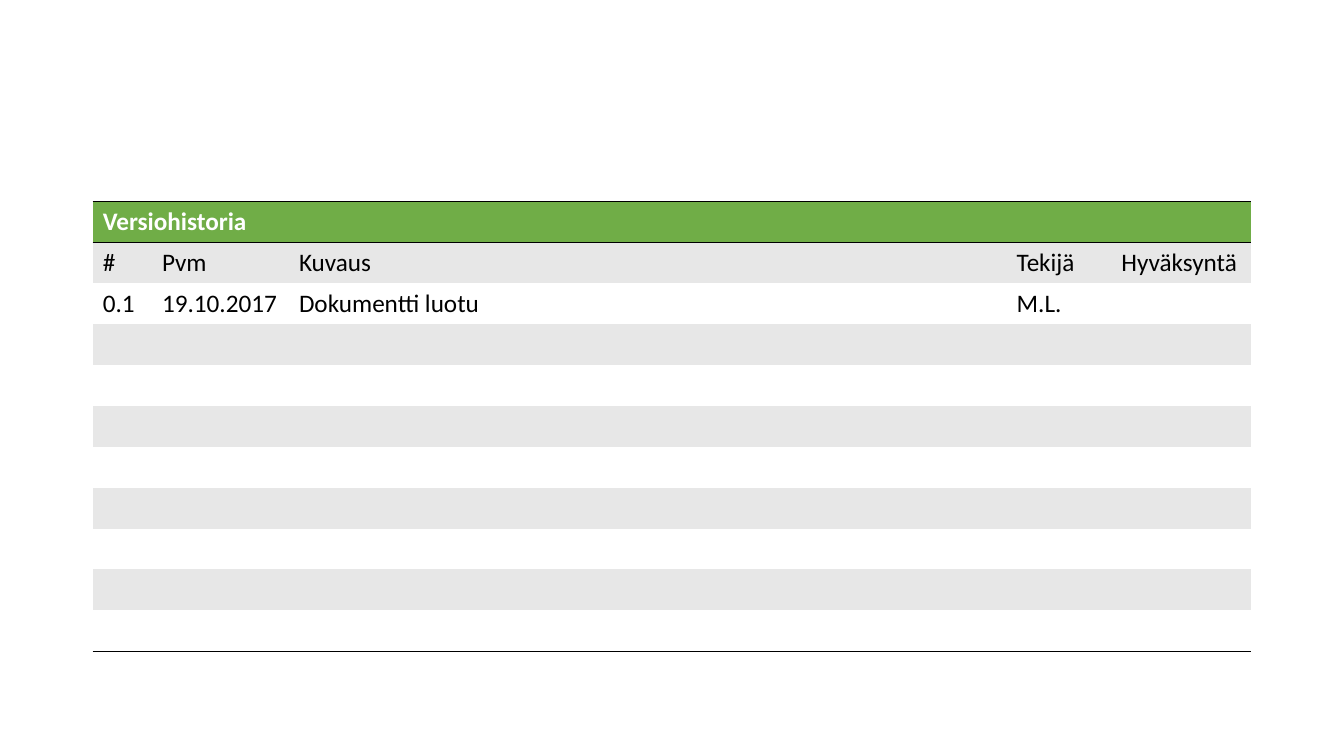
from dataclasses import dataclass

from lxml import etree
from pptx import Presentation
from pptx import util as u
from pptx.dml.color import RGBColor
from pptx.oxml import ns


@dataclass(frozen=True)
class Theme:
    """Colours, font and sizes of the slide."""
    font: str = "Calibri"
    text_size: float = 18
    rule_width: float = 0.96
    header: str = "70AD47"
    band: str = "E7E7E7"
    plain: str = "FFFFFF"
    header_text: str = "FFFFFF"
    body_text: str = "000000"
    rule: str = "000000"


THEME = Theme()
COLUMN_WIDTHS = [0.59, 1.36, 7.13, 1.04, 1.39]
ROW_COUNT = 11
HISTORY = [
    ["Versiohistoria"],
    ["#", "Pvm", "Kuvaus", "Tekijä", "Hyväksyntä"],
    ["0.1", "19.10.2017", "Dokumentti luotu", "M.L."],
]


def set_borders(cell, ruled_edges):
    """Draw a rule on the named edges and clear the others."""
    properties = cell._tc.get_or_add_tcPr()
    for edge in "LRTB":
        line = etree.SubElement(properties, ns.qn(f"a:ln{edge}"))
        if edge in ruled_edges:
            line.set("w", str(int(u.Pt(THEME.rule_width))))
            fill = etree.SubElement(line, ns.qn("a:solidFill"))
            etree.SubElement(fill, ns.qn("a:srgbClr"), val=THEME.rule)
        else:
            etree.SubElement(line, ns.qn("a:noFill"))


def style_cell(cell, row):
    """Give a cell the rules and fill of its row."""
    ruled_edges = {0: "TB", 1: "T", ROW_COUNT - 1: "B"}.get(row, "")
    set_borders(cell, ruled_edges)
    colour = THEME.header if row == 0 else THEME.band if row % 2 else THEME.plain
    cell.fill.solid()
    cell.fill.fore_color.rgb = RGBColor.from_string(colour)


def write_cell(cell, wording, is_header):
    """Write the wording of a cell as one run."""
    run = cell.text_frame.paragraphs[0].add_run()
    run.text = wording
    run.font.name = THEME.font
    run.font.size = u.Pt(THEME.text_size)
    run.font.bold = is_header
    colour = THEME.header_text if is_header else THEME.body_text
    run.font.color.rgb = RGBColor.from_string(colour)


def add_version_history(slide, left, top, width, height):
    """Place the version history table in the given box."""
    history = slide.shapes.add_table(
        ROW_COUNT, len(COLUMN_WIDTHS),
        u.Inches(left), u.Inches(top), u.Inches(width), u.Inches(height)).table
    for column, share in zip(history.columns, COLUMN_WIDTHS):
        column.width = u.Inches(width * share / sum(COLUMN_WIDTHS))
    for row in range(ROW_COUNT):
        for column in range(len(COLUMN_WIDTHS)):
            style_cell(history.cell(row, column), row)
    history.cell(0, 0).merge(history.cell(0, len(COLUMN_WIDTHS) - 1))
    for row, entries in enumerate(HISTORY):
        for column, wording in enumerate(entries):
            write_cell(history.cell(row, column), wording, row == 0)


def main():
    """Build the slide and save it."""
    deck = Presentation()
    deck.slide_width = u.Inches(13.34)
    deck.slide_height = u.Inches(7.5)
    slide = deck.slides.add_slide(deck.slide_layouts[6])
    add_version_history(slide, 0.92, 2, 11.5, 4.46)
    deck.save("out.pptx")


if __name__ == "__main__":
    main()
